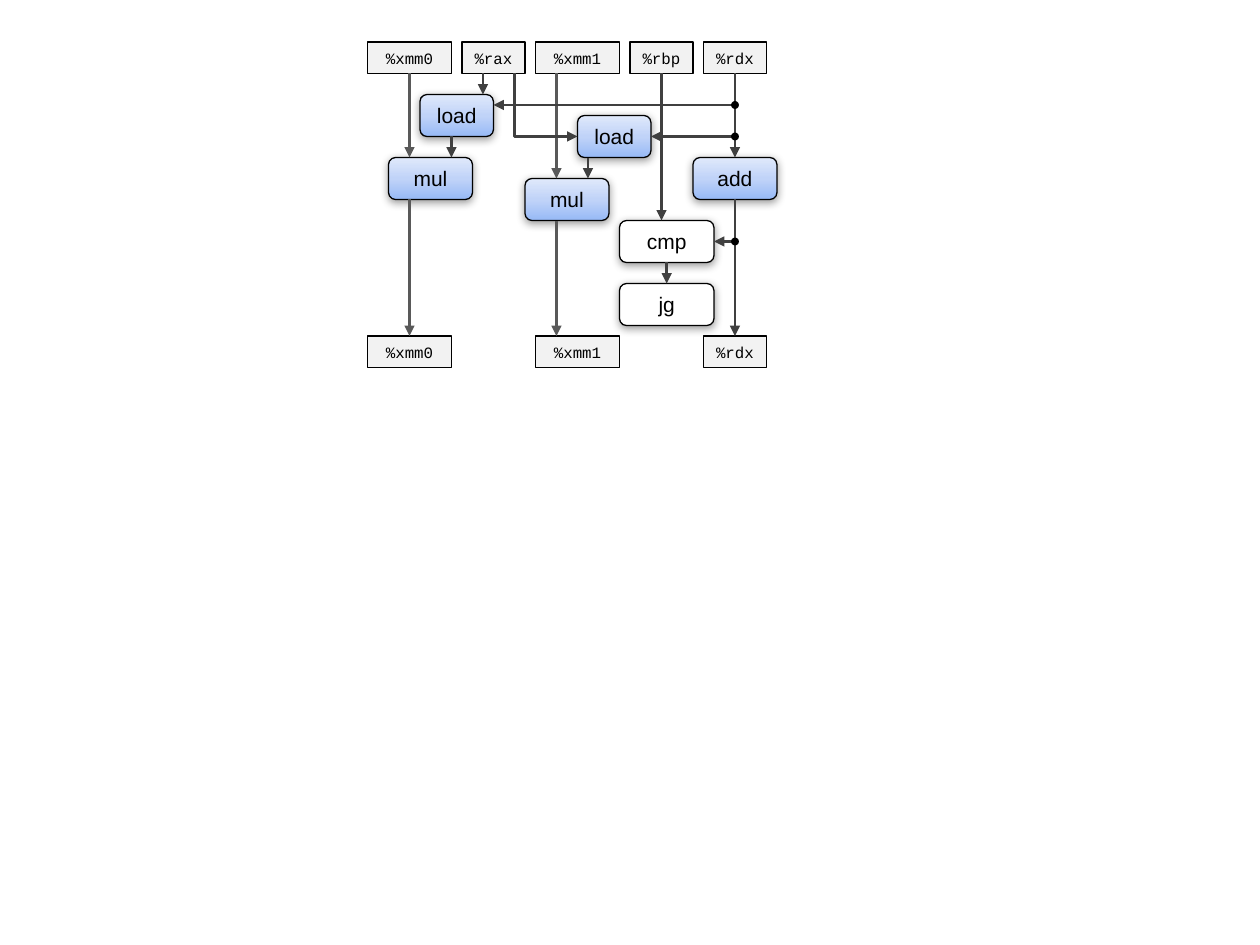
from copy import deepcopy
from lxml import etree
from pptx import Presentation
from pptx.dml.color import RGBColor
from pptx.enum.shapes import MSO_CONNECTOR, MSO_SHAPE
from pptx.enum.text import MSO_ANCHOR, PP_ALIGN
from pptx.oxml.ns import qn
from pptx.util import Pt

RECT, ROUND, OVAL = MSO_SHAPE.RECTANGLE, MSO_SHAPE.ROUNDED_RECTANGLE, MSO_SHAPE.OVAL
LINE, ELBOW = MSO_CONNECTOR.STRAIGHT, MSO_CONNECTOR.ELBOW
MIDDLE, CENTER = MSO_ANCHOR.MIDDLE, PP_ALIGN.CENTER
PX = 9525

BLACK, WHITE, PALE, DARK, GRAY = "000000", "FFFFFF", "F2F2F2", "404040", "595959"
BLUES = [("98BAF6", 0), ("C0D3F8", 50), ("E0E9FB", 100)]
TOP, END = 32, 256
REG_H, OP_H, DOT = 24, 32, 6
RDX = 560

REGS = [
    ("%xmm0", 280, TOP, 64), ("%rax", 352, TOP, 48), ("%xmm1", 408, TOP, 64),
    ("%rbp", 480, TOP, 48), ("%rdx", 536, TOP, 48),
    ("%xmm0", 280, END, 64), ("%xmm1", 408, END, 64), ("%rdx", 536, END, 48),
]
OPS = [
    ("load", 320, 72, 56, BLUES), ("load", 440, 88, 56, BLUES),
    ("mul", 296, 120, 64, BLUES), ("mul", 400, 136, 64, BLUES),
    ("add", 528, 120, 64, BLUES),
    ("cmp", 472, 168, 72, WHITE), ("jg", 472, 216, 72, WHITE),
]
DOWN = [
    (312, 56, 120, GRAY), (312, 152, END, GRAY),
    (424, 56, 136, GRAY), (424, 168, END, GRAY),
    (368, 56, 72, DARK), (344, 104, 120, DARK), (448, 120, 136, DARK),
    (504, 56, 168, DARK), (508, 200, 216, DARK),
    (RDX, 56, 120, DARK), (RDX, 152, END, DARK),
]
BENDS = [((376, 80), (RDX, 56)), ((496, 104), (RDX, 72)), ((440, 104), (392, 56))]
DOTS = [80, 104, 184]

prs = Presentation()
prs.slide_width, prs.slide_height = 960 * PX, 720 * PX
slide = prs.slides.add_slide(prs.slide_layouts[6])
shapes = slide.shapes
sides = {}


def rgb(code):
    return RGBColor.from_string(code)


def write(shape, text, size, font, color=BLACK):
    frame = shape.text_frame
    frame.word_wrap = False
    frame.vertical_anchor = MIDDLE
    frame.margin_left = frame.margin_right = 0
    frame.margin_top = frame.margin_bottom = 0
    para = frame.paragraphs[0]
    para.alignment = CENTER
    run = para.add_run()
    run.text = text
    run.font.size, run.font.name = Pt(size), font
    run.font.color.rgb = rgb(color)


def blend(shape, stops):
    shape.fill.gradient()
    shape.fill.gradient_angle = 90
    items = shape._element.spPr.find(".//" + qn("a:gsLst"))
    items.insert(1, deepcopy(items[0]))
    for stop, (code, place) in zip(shape.fill.gradient_stops, stops):
        stop.color.rgb = rgb(code)
        stop.position = place / 100


def shade(shape):
    effects = shape._element.spPr.find(qn("a:effectLst"))
    outer = etree.SubElement(effects, qn("a:outerShdw"), blurRad="63500",
                             dist="20320", dir="5400000", rotWithShape="0")
    color = etree.SubElement(outer, qn("a:srgbClr"), val=BLACK)
    etree.SubElement(color, qn("a:alpha"), val="38000")


def block(kind, x, y, w, h, fill, line=0):
    shape = shapes.add_shape(kind, x * PX, y * PX, w * PX, h * PX)
    shape.shadow.inherit = False
    if isinstance(fill, list):
        blend(shape, fill)
    else:
        shape.fill.solid()
        shape.fill.fore_color.rgb = rgb(fill)
    if line:
        shape.line.color.rgb = rgb(BLACK)
        shape.line.width = Pt(line)
        mids = [(x + w // 2, y), (x, y + h // 2), (x + w // 2, y + h), (x + w, y + h // 2)]
        for site, spot in enumerate(mids):
            sides[spot] = (shape, site)
    else:
        shape.line.fill.background()
    return shape


def arrow(start, end, color=DARK, bend=False):
    ends = [n * PX for n in start + end]
    link = shapes.add_connector(ELBOW if bend else LINE, *ends)
    link.line.color.rgb = rgb(color)
    link.line.width = Pt(1.5)
    props = link._element.spPr
    tip = "a:headEnd" if bend else "a:tailEnd"
    etree.SubElement(props.find(qn("a:ln")), qn(tip), type="triangle")
    etree.SubElement(props, qn("a:effectLst"))
    if bend:
        props.find(qn("a:prstGeom")).set("prst", "bentConnector2")
        return
    if start in sides:
        link.begin_connect(*sides[start])
    if end in sides:
        link.end_connect(*sides[end])


for name, x, y, w in REGS:
    write(block(RECT, x, y, w, REG_H, PALE, line=1), name, size=9, font="Courier New")

for name, x, y, w, fill in OPS:
    op = block(ROUND, x, y, w, OP_H, fill, line=0.75)
    shade(op)
    write(op, name, size=12, font="Arial")

for x, y, end, color in DOWN:
    arrow((x, y), (x, end), color)
arrow((RDX, 184), (544, 184))
for tip, root in BENDS:
    arrow(tip, root, bend=True)

for y in DOTS:
    block(OVAL, RDX - DOT // 2, y - DOT // 2, DOT, DOT, BLACK)

prs.save("out.pptx")
